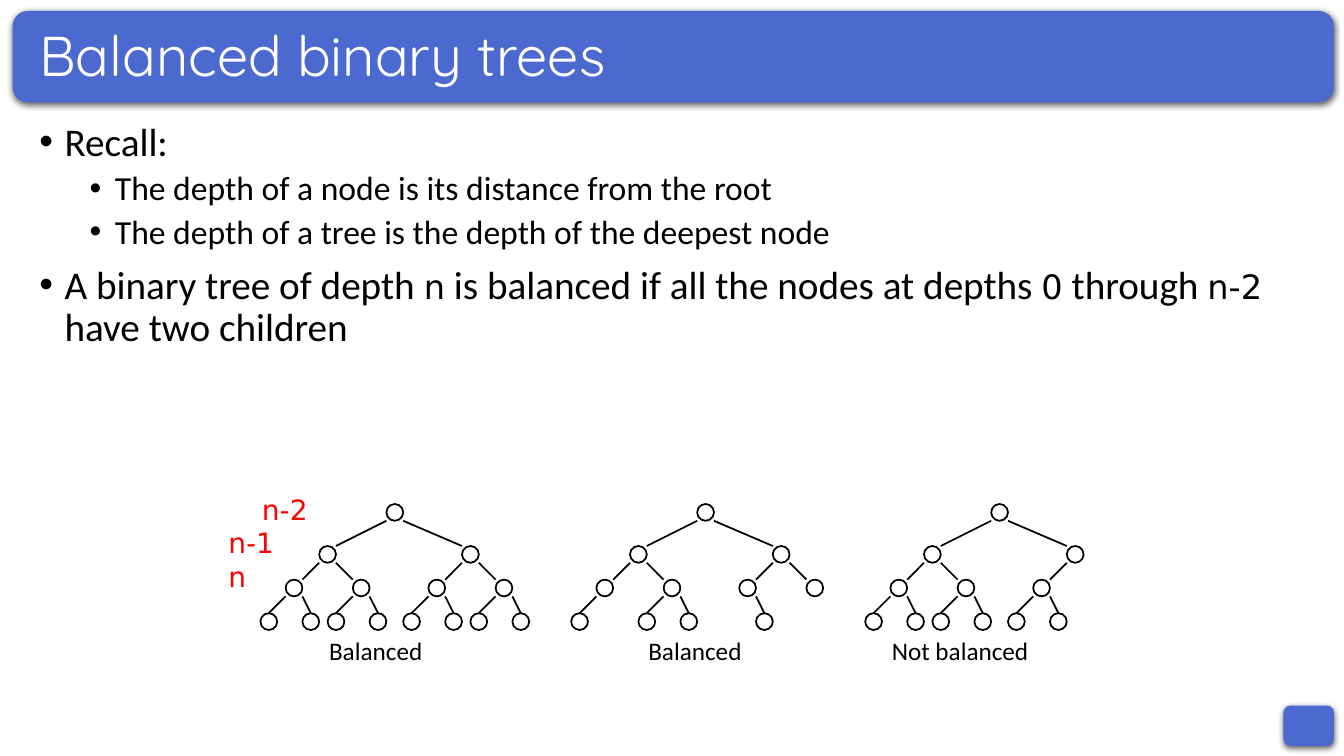
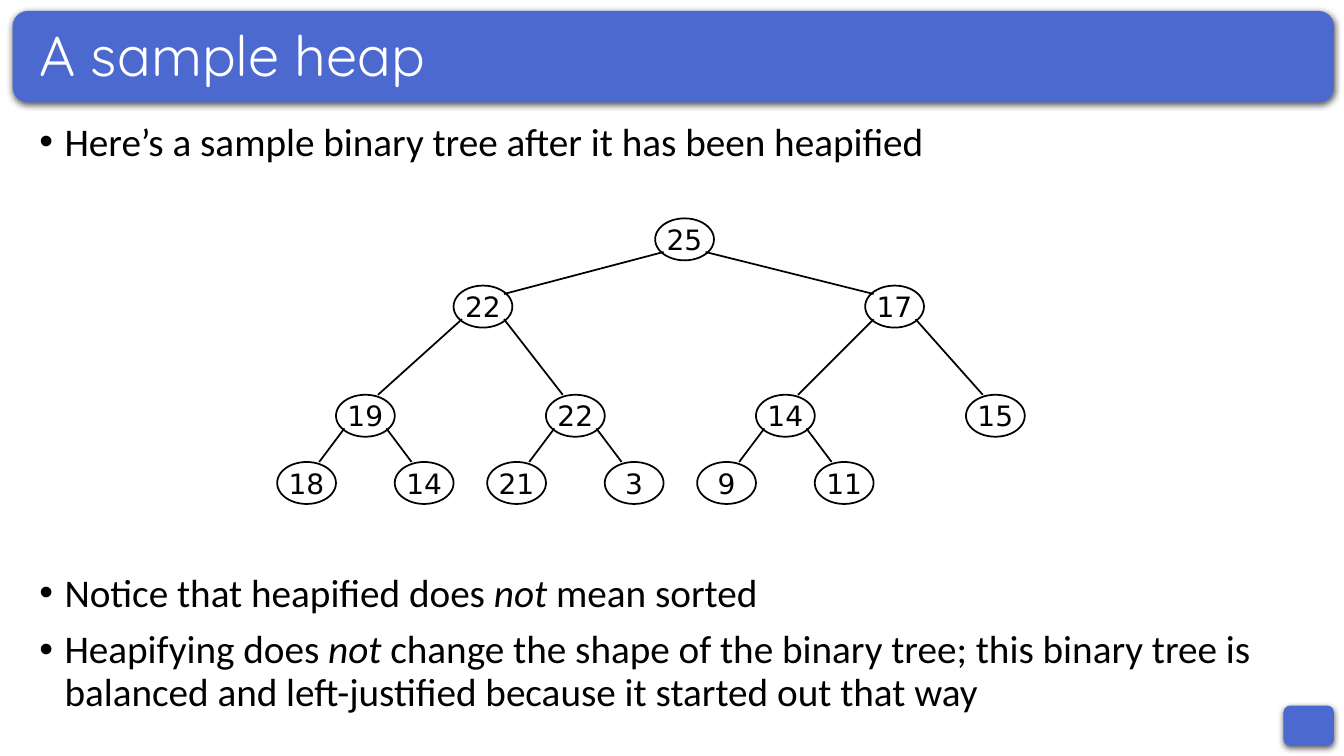
"""Build two slides on balanced binary trees and heaps."""
from dataclasses import dataclass
from itertools import chain

from lxml.etree import SubElement
from pptx import Presentation
from pptx.dml.color import RGBColor
from pptx.enum.shapes import MSO_CONNECTOR as Link, MSO_SHAPE as Form
from pptx.enum.text import MSO_ANCHOR as Anchor, PP_ALIGN as Align
from pptx.oxml.ns import qn
from pptx.util import Inches, Pt

COLUMNS, ROWS = 160, 90
CELL = Inches(1) // 12


@dataclass(frozen=True)
class Theme:
    """Colours, line width and text formats."""
    band = RGBColor(0x4C, 0x69, 0xD0)
    ink = RGBColor(0, 0, 0)
    stroke = Pt(1.25)
    title = {"name": "Quicksand", "size": Pt(40), "color": RGBColor(255, 255, 255)}
    body = {"name": "Calibri", "size": Pt(28), "color": ink}
    detail = {**body, "size": Pt(24)}
    caption = {**body, "size": Pt(18)}
    code = {"name": "DejaVu Sans", "size": Pt(24), "color": ink}
    key = {**code, "size": Pt(20)}
    depth = {**key, "color": RGBColor(255, 0, 0)}
    stress = {**body, "italic": True}
    spacing = {"line_spacing": 0.9, "space_before": Pt(10)}
    detail_spacing = {**spacing, "space_before": Pt(5)}


THEME = Theme()


@dataclass(frozen=True)
class TreeStyle:
    """Node size, level rows and edge attachment, in grid cells."""
    width: int
    height: int
    tops: tuple
    parent_inset: int
    parent_drop: int
    child_insets: tuple
    child_drops: tuple


SMALL = TreeStyle(2, 2, (60, 65, 69, 73), 0, 2, (0, 0, 0, 1), (0, 0, 0, 0))
LARGE = TreeStyle(7, 5, (26, 34, 47, 55), 1, 4, (0, 1, 2, 2), (0, 1, 0, 0))

SMALL_OFFSETS = (0, -8, 9, -12, -4, 5, 13, -15, -10, -7, -2, 2, 7, 10, 15)
SMALL_TREES = (
    (46, range(1, 16), "Balanced", 38, 18),
    (83, chain(range(1, 9), (10, 11, 13)), "Balanced", 76, 19),
    (118, chain(range(1, 7), range(8, 14)), "Not balanced", 105, 25),
)
DEPTHS = (("n-2", 30, 58), ("n-1", 26, 62), ("n", 26, 66))
HEAP = (
    (78, "25"), (54, "22"), (103, "17"),
    (40, "19"), (65, "22"), (90, "14"), (115, "15"),
    (33, "18"), (47, "14"), (58, "21"), (72, "3"), (83, "9"), (97, "11"),
)


def cells(*lengths):
    """Convert grid cells to slide lengths."""
    return [round(length * CELL) for length in lengths]


def apply(target, formats):
    """Set every format value on the target."""
    for attribute, value in formats.items():
        if attribute == "color":
            target.color.rgb = value
        else:
            setattr(target, attribute, value)


def add_runs(paragraph, runs):
    """Fill a paragraph with pairs of words and format."""
    for words, formats in runs:
        run = paragraph.add_run()
        run.text = words
        apply(run.font, formats)


def add_text(slide, area, words, formats, **frame_formats):
    """Place one line of text."""
    frame = slide.shapes.add_textbox(*cells(*area)).text_frame
    apply(frame, {"word_wrap": True, **frame_formats})
    add_runs(frame.paragraphs[0], [(words, formats)])


def add_bullets(slide, top, height, items):
    """Place a bulleted list of (level, runs) items."""
    frame = slide.shapes.add_textbox(*cells(3.5, top, 153, height)).text_frame
    frame.word_wrap = True
    for index, (level, runs) in enumerate(items):
        paragraph = frame.add_paragraph() if index else frame.paragraphs[0]
        apply(paragraph, THEME.detail_spacing if level else THEME.spacing)
        add_runs(paragraph, runs)
        properties = paragraph._p.get_or_add_pPr()
        properties.set("marL", str(Inches(0.25 + 0.5 * level)))
        properties.set("indent", str(Inches(-0.25)))
        SubElement(properties, qn("a:buFont"), typeface="Arial")
        SubElement(properties, qn("a:buChar"), char="•")


def add_band(slide, area):
    """Place a rounded band with a soft shadow."""
    band = slide.shapes.add_shape(Form.ROUNDED_RECTANGLE, *cells(*area))
    band.shadow.inherit = False
    band.fill.solid()
    band.fill.fore_color.rgb = THEME.band
    band.line.fill.background()
    effects = band._element.spPr.find(qn("a:effectLst"))
    shadow = SubElement(effects, qn("a:outerShdw"), blurRad=str(Pt(4.5)),
                        dist=str(Pt(1.5)), dir="5400000", rotWithShape="0")
    tint = SubElement(shadow, qn("a:srgbClr"), val=str(THEME.ink))
    SubElement(tint, qn("a:alpha"), val="63000")


def add_node(slide, area, key):
    """Place one tree node, with its key if it has one."""
    node = slide.shapes.add_shape(Form.OVAL, *cells(*area))
    node.shadow.inherit = False
    node.fill.background()
    apply(node.line, {"color": THEME.ink, "width": THEME.stroke})
    if key:
        apply(node.text_frame, {"word_wrap": False, "vertical_anchor": Anchor.MIDDLE})
        paragraph = node.text_frame.paragraphs[0]
        paragraph.alignment = Align.CENTER
        add_runs(paragraph, [(key, THEME.key)])


def add_edge(slide, start, end):
    """Join two grid points with a line."""
    edge = slide.shapes.add_connector(Link.STRAIGHT, *cells(*start, *end))
    apply(edge.line, {"color": THEME.ink, "width": THEME.stroke})
    SubElement(edge._element.spPr, qn("a:effectLst"))


def add_tree(slide, style, nodes):
    """Draw nodes given by heap position as (left, key), with their edges."""
    for position, (left, key) in nodes.items():
        level = position.bit_length() - 1
        top = style.tops[level]
        add_node(slide, (left, top, style.width, style.height), key)
        if level:
            parent_left, _ = nodes[position // 2]
            parent_inset, child_inset = style.parent_inset, style.child_insets[level]
            if position % 2:
                start, end = style.width - parent_inset, child_inset
            else:
                start, end = parent_inset, style.width - child_inset
            add_edge(slide,
                     (parent_left + start, style.tops[level - 1] + style.parent_drop),
                     (left + end, top + style.child_drops[level]))


def add_slide(deck, title):
    """Add a slide with the shared bands and its title."""
    slide = deck.slides.add_slide(deck.slide_layouts[6])
    add_band(slide, (152.8, 84, 6, 4.8))
    add_band(slide, (1.5, 1.3, 157.3, 10.9))
    add_text(slide, (3.5, 3, 153, 7.8), title, THEME.title,
             vertical_anchor=Anchor.MIDDLE)
    paragraph = slide.shapes[-1].text_frame.paragraphs[0]
    paragraph.line_spacing = THEME.spacing["line_spacing"]
    return slide


def build_balanced(deck):
    """Build the slide that compares balanced trees."""
    slide = add_slide(deck, "Balanced binary trees")
    for root, positions, verdict, caption_left, caption_width in SMALL_TREES:
        add_text(slide, (caption_left, 75, caption_width, 4.8), verdict, THEME.caption)
        add_tree(slide, SMALL, {position: (root + SMALL_OFFSETS[position - 1], "")
                                for position in positions})
    for depth, left, top in DEPTHS:
        add_text(slide, (left, top, 9, 5.2), depth, THEME.depth)
    add_bullets(slide, 14, 67, [
        (0, [("Recall:", THEME.body)]),
        (1, [("The depth of a node is its distance from the root", THEME.detail)]),
        (1, [("The depth of a tree is the depth of the deepest node", THEME.detail)]),
        (0, [("A binary tree of depth ", THEME.body), ("n", THEME.code),
             (" is balanced if all the nodes at depths ", THEME.body),
             ("0", THEME.code), (" through ", THEME.body), ("n-2", THEME.code),
             (" have two children", THEME.body)]),
    ])


def build_heap(deck):
    """Build the slide that shows a heap."""
    slide = add_slide(deck, "A sample heap")
    add_bullets(slide, 14, 6, [
        (0, [("Here’s a sample binary tree after it has been heapified", THEME.body)]),
    ])
    add_bullets(slide, 67.7, 17, [
        (0, [("Notice that heapified does ", THEME.body), ("not", THEME.stress),
             (" mean sorted", THEME.body)]),
        (0, [("Heapifying does ", THEME.body), ("not", THEME.stress),
             (" change the shape of the binary tree; this binary tree is balanced"
              " and left-justified because it started out that way", THEME.body)]),
    ])
    add_tree(slide, LARGE, dict(enumerate(HEAP, 1)))


def main():
    """Build and save the deck."""
    deck = Presentation()
    deck.slide_width, deck.slide_height = cells(COLUMNS, ROWS)
    build_balanced(deck)
    build_heap(deck)
    deck.save("out.pptx")


if __name__ == "__main__":
    main()
